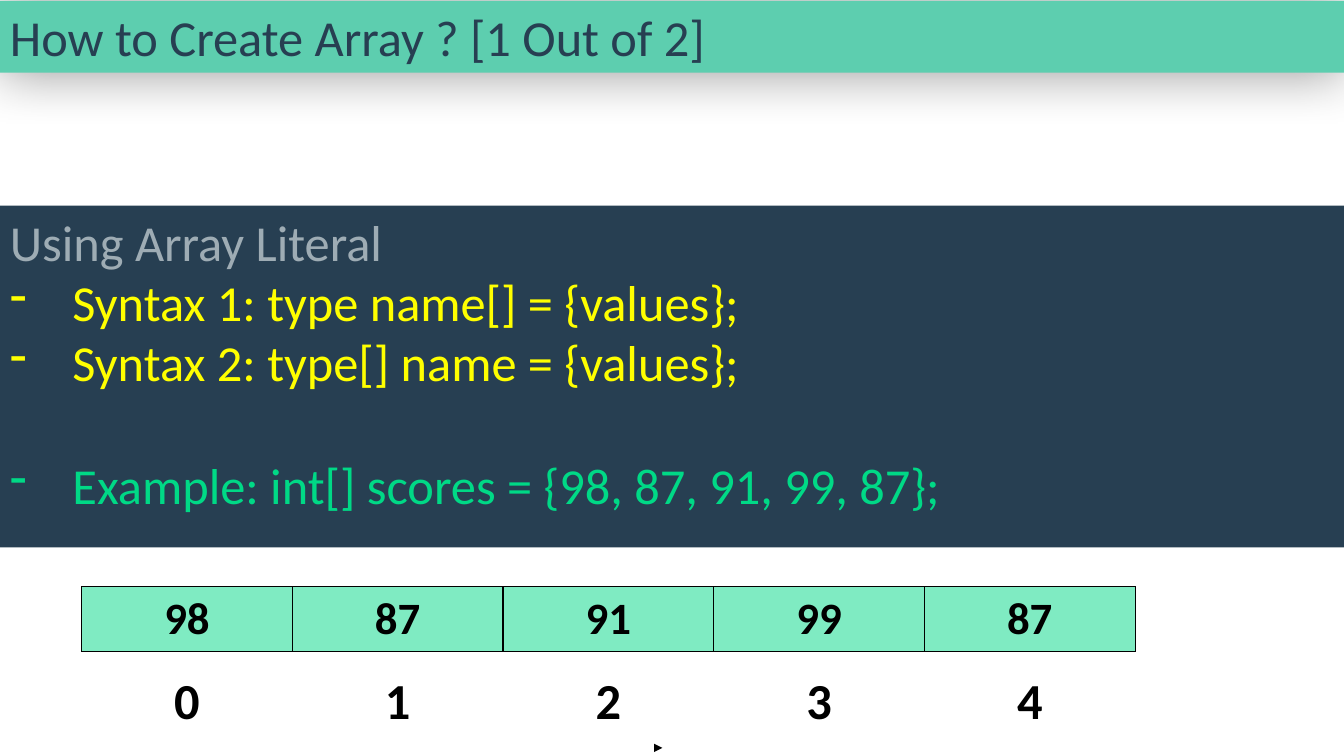
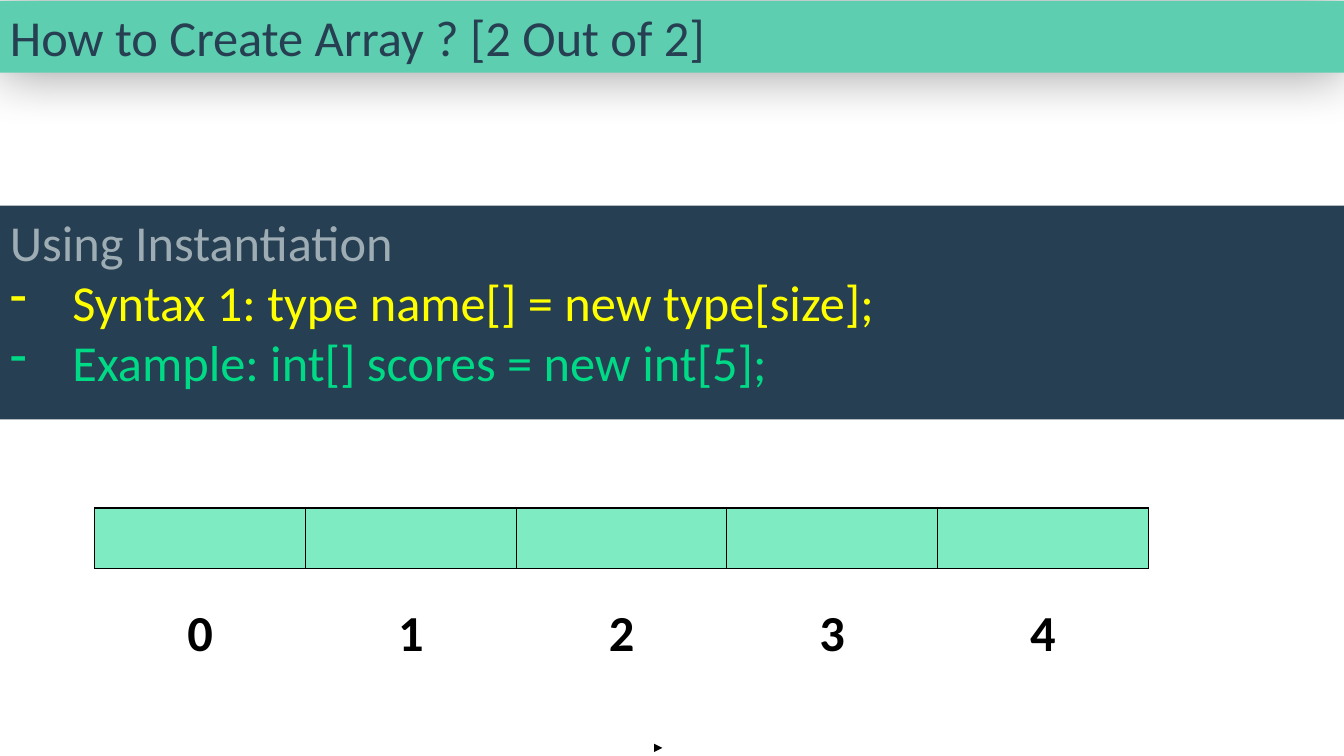
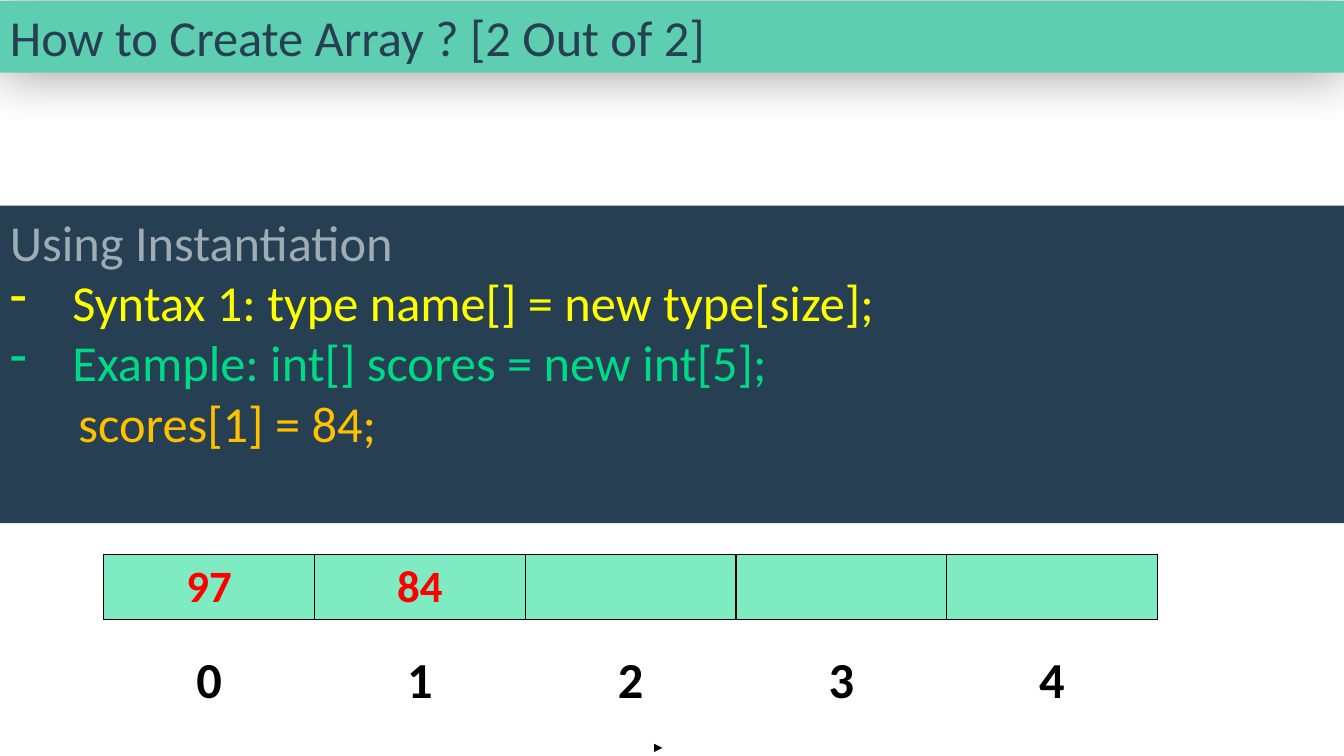
from pptx import Presentation
from pptx.dml.color import RGBColor
from pptx.enum.shapes import MSO_CONNECTOR, MSO_SHAPE
from pptx.enum.text import MSO_ANCHOR, PP_ALIGN
from pptx.oxml import parse_xml
from pptx.oxml.ns import nsdecls, qn
from pptx.util import Inches, Pt

RECTANGLE = MSO_SHAPE.RECTANGLE
STRAIGHT = MSO_CONNECTOR.STRAIGHT
TOP, MIDDLE = MSO_ANCHOR.TOP, MSO_ANCHOR.MIDDLE
LEFT, CENTER = PP_ALIGN.LEFT, PP_ALIGN.CENTER

COLORS = {
    "band": "5DCEAF",
    "navy": "273F52",
    "heading": "9EACB4",
    "syntax": "FFFF00",
    "example": "00D986",
    "assignment": "FFC000",
    "black": "000000",
    "white": "FFFFFF",
    "red": "FF0000",
}
FONT = "Calibri"
SLIDE_WIDTH, SLIDE_HEIGHT = 13.33, 7.5
TEXT_SIZE, VALUE_SIZE = 36, 32
PANEL_TOP = 2.04
BULLET_INDENT = 0.62
CONTINUATION_INDENT = 0.68
CELL_COUNT, CELL_WIDTH, ROW_HEIGHT = 5, 2.09, 0.6
BLANK_LINE = 44


def rgb(name):
    return RGBColor.from_string(COLORS[name])


def add_span(para, text, color, size=TEXT_SIZE, bold=False):
    span = para.add_run()
    span.text = text
    span.font.name = FONT
    span.font.size = Pt(size)
    span.font.bold = bold
    span.font.color.rgb = rgb(color)


def add_box(page, top, height, color):
    """Add a full-width filled rectangle with text starting at its top left."""
    box = page.shapes.add_shape(
        RECTANGLE, 0, Inches(top), Inches(SLIDE_WIDTH), Inches(height))
    box.fill.solid()
    box.fill.fore_color.rgb = rgb(color)
    box.line.fill.background()
    box.shadow.inherit = False
    box.text_frame.word_wrap = True
    box.text_frame.vertical_anchor = TOP
    box.text_frame.paragraphs[0].alignment = LEFT
    return box


def add_title_band(page, title):
    band = add_box(page, 0.01, 0.71, "band")
    add_span(band.text_frame.paragraphs[0], title, "navy")
    effects = band._element.spPr.find(qn("a:effectLst"))
    effects.append(parse_xml(
        f'<a:outerShdw {nsdecls("a")} blurRad="{Pt(39)}" dist="0" dir="0">'
        f'<a:srgbClr val="{COLORS["black"]}"><a:alpha val="40000"/></a:srgbClr>'
        '</a:outerShdw>'))


def add_footer_arrow(page):
    arrow = page.shapes.add_connector(
        STRAIGHT, Inches(6.5), Inches(7.42), Inches(6.57), Inches(7.42))
    arrow.line.color.rgb = rgb("black")
    arrow.line.width = Pt(1.5)
    arrow.line._get_or_add_ln().append(
        parse_xml(f'<a:tailEnd {nsdecls("a")} type="triangle"/>'))
    arrow._element.spPr.append(parse_xml(f'<a:effectLst {nsdecls("a")}/>'))


def indent(para, left, hanging=0):
    properties = para._p.get_or_add_pPr()
    properties.set("marL", str(Inches(left)))
    properties.set("indent", str(Inches(-hanging)))
    return properties


def add_code_panel(page, height, heading, lines):
    """Add the dark panel; each line is (text, color, space before)."""
    frame = add_box(page, PANEL_TOP, height, "navy").text_frame
    add_span(frame.paragraphs[0], heading, "heading")
    for text, color, space in lines:
        para = frame.add_paragraph()
        para.alignment = LEFT
        para.space_before = Pt(space)
        if color == "assignment":
            indent(para, CONTINUATION_INDENT)
        else:
            properties = indent(para, BULLET_INDENT, BULLET_INDENT)
            properties.append(
                parse_xml(f'<a:buChar {nsdecls("a")} char="-"/>'))
        add_span(para, text, color)


def add_borders(cell):
    properties = cell._tc.get_or_add_tcPr()
    for position, side in enumerate(("lnL", "lnR", "lnT", "lnB")):
        properties.insert(position, parse_xml(
            f'<a:{side} {nsdecls("a")} w="{Pt(1)}"><a:solidFill>'
            f'<a:srgbClr val="{COLORS["black"]}"/></a:solidFill></a:{side}>'))


def fill_half_transparent(cell, color):
    cell.fill.solid()
    cell.fill.fore_color.rgb = rgb(color)
    cell._tc.tcPr.find(f'{qn("a:solidFill")}/{qn("a:srgbClr")}').append(
        parse_xml(f'<a:alpha {nsdecls("a")} val="50000"/>'))


def add_row(page, left, top, texts, fill, color, size, bordered):
    """Add a one-row table, leaving cells beyond the given texts empty."""
    table = page.shapes.add_table(
        1, CELL_COUNT, Inches(left), Inches(top),
        Inches(CELL_COUNT * CELL_WIDTH), Inches(ROW_HEIGHT)).table
    table.first_row = False
    table.horz_banding = False
    for column, cell in enumerate(table.rows[0].cells):
        table.columns[column].width = Inches(CELL_WIDTH)
        cell.vertical_anchor = MIDDLE
        fill_half_transparent(cell, fill)
        if bordered:
            add_borders(cell)
        if column < len(texts):
            para = cell.text_frame.paragraphs[0]
            para.alignment = CENTER
            add_span(para, texts[column], color, size, bold=True)


def add_array(page, left, top, index_top, values, color="black"):
    add_row(page, left, top, values, "example", color, VALUE_SIZE, True)
    indexes = [str(index) for index in range(CELL_COUNT)]
    add_row(page, left, index_top, indexes, "white", "black", TEXT_SIZE, False)


def add_page(deck, part):
    page = deck.slides.add_slide(deck.slide_layouts[6])
    add_title_band(page, f"How to Create Array ? [{part} Out of 2]")
    add_footer_arrow(page)
    return page


def main():
    deck = Presentation()
    deck.slide_width = Inches(SLIDE_WIDTH)
    deck.slide_height = Inches(SLIDE_HEIGHT)

    page = add_page(deck, 1)
    add_code_panel(page, 3.39, "Using Array Literal", [
        ("Syntax 1: type name[] = {values};", "syntax", 0),
        ("Syntax 2: type[] name = {values};", "syntax", 0),
        ("Example: int[] scores = {98, 87, 91, 99, 87};", "example", BLANK_LINE),
    ])
    add_array(page, 0.81, 5.82, 6.61, ["98", "87", "91", "99", "87"])

    instantiation = [
        ("Syntax 1: type name[] = new type[size];", "syntax", 0),
        ("Example: int[] scores = new int[5];", "example", 0),
    ]
    page = add_page(deck, 2)
    add_code_panel(page, 2.12, "Using Instantiation", instantiation)
    add_array(page, 0.94, 5.04, 5.94, [])

    page = add_page(deck, 2)
    assignment = ("scores[1] = 84;", "assignment", 0)
    add_code_panel(page, 3.15, "Using Instantiation", instantiation + [assignment])
    add_array(page, 1.03, 5.5, 6.4, ["97", "84"], "red")

    deck.save("out.pptx")


if __name__ == "__main__":
    main()
